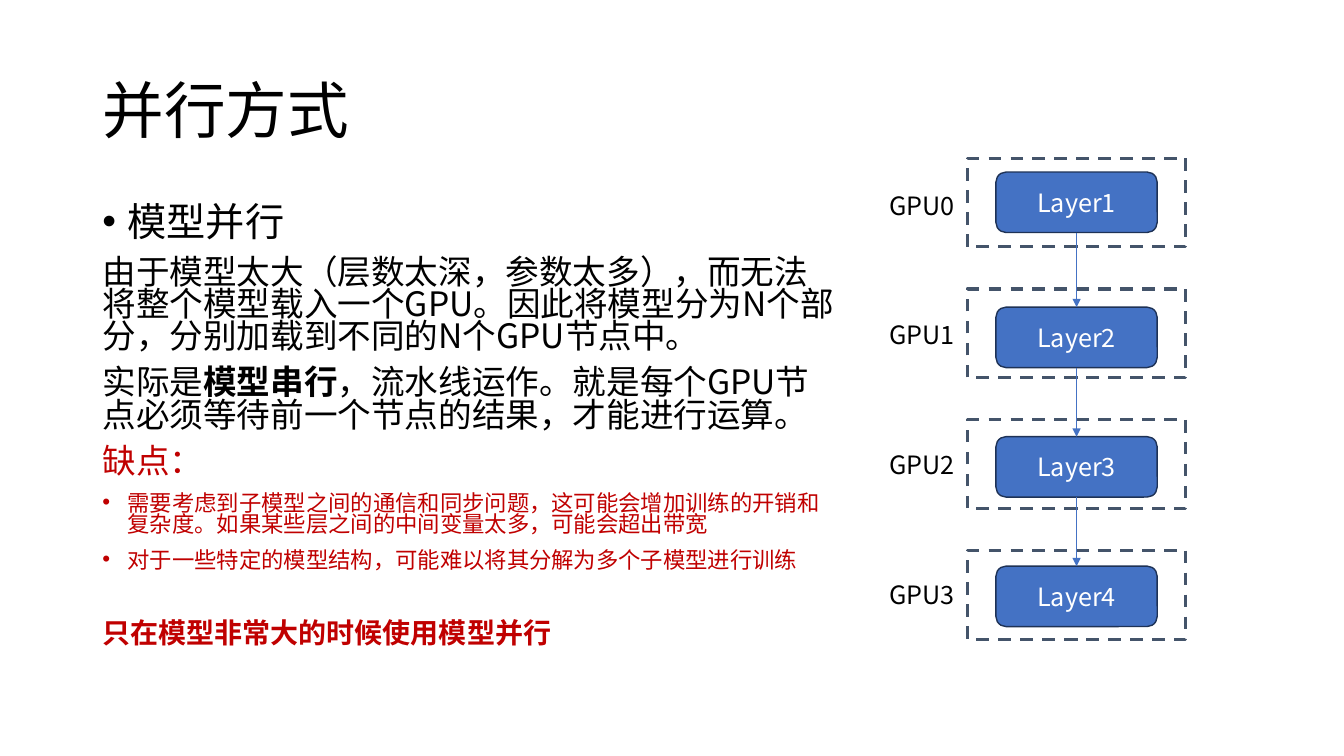
from itertools import pairwise
from lxml.etree import SubElement as Sub
from pptx import Presentation
from pptx.dml.color import RGBColor
from pptx.enum.dml import MSO_LINE as Dash
from pptx.enum.shapes import MSO_CONNECTOR as Link, MSO_SHAPE as Kind
from pptx.enum.text import MSO_ANCHOR as Anchor, MSO_AUTO_SIZE as Fit, PP_ALIGN as Align
from pptx.oxml.ns import qn
from pptx.util import Pt

FONT = "Noto Sans CJK SC"
BLACK = RGBColor(0x00, 0x00, 0x00)
WHITE = RGBColor(0xFF, 0xFF, 0xFF)
RED = RGBColor(0xC0, 0x00, 0x00)
BLUE = RGBColor(0x44, 0x72, 0xC4)
NAVY = RGBColor(0x1E, 0x32, 0x56)
SLATE = RGBColor(0x44, 0x54, 0x6A)

MID = 769
LAYERS = [144.5, 241, 333.5, 426]
LAYER_W, LAYER_H = 115.2, 43.2
FRAME_W, FRAME_H = 156.2, 63.4
FRAME_TOP, FRAME_STEP = 113, 93.4
LABEL_TOP, LABEL_STEP = 132.2, 92.7

BODY = [
    (["模型并行"], 28, BLACK, True, 0),
    (["由于模型太大（层数太深，参数太多），而无法将整个模型载入一个GPU。"
      "因此将模型分为N个部分，分别加载到不同的N个GPU节点中。"], 24, BLACK, False, 10),
    (["实际是", "模型串行", "，流水线运作。就是每个GPU节点必须等待前一个节点的结果，才能进行运算。"],
     24, BLACK, False, 10),
    (["缺点："], 24, RED, False, 10),
    (["需要考虑到子模型之间的通信和同步问题，这可能会增加训练的开销和复杂度。"
      "如果某些层之间的中间变量太多，可能会超出带宽"], 16, RED, True, 10),
    (["对于一些特定的模型结构，可能难以将其分解为多个子模型进行训练"], 16, RED, True, 10),
    (["", "只在模型非常大的时候使用模型并行"], 20, RED, False, 35.5),
]


def style(run, size, color, bold=False):
    font = run.font
    font.size = Pt(size)
    font.bold = bold
    font.color.rgb = color
    font.name = FONT
    Sub(run._r.get_or_add_rPr(), qn("a:ea"), typeface=FONT)


def place(shape, x, y, w, h):
    shape.left, shape.top, shape.width, shape.height = Pt(x), Pt(y), Pt(w), Pt(h)


def mark(para, bullet):
    props = para._p.get_or_add_pPr()
    indent = Pt(18) if bullet else 0
    props.set("marL", str(indent))
    props.set("indent", str(-indent))
    if bullet:
        Sub(props, qn("a:buFont"), typeface="Arial")
        Sub(props, qn("a:buChar"), char="•")
    else:
        Sub(props, qn("a:buNone"))


def add_title(slide, text):
    title = slide.shapes.title
    place(title, 66, 28.8, 828, 104.4)
    frame = title.text_frame
    frame.text = text
    frame.auto_size = Fit.NONE
    frame.vertical_anchor = Anchor.MIDDLE
    para = frame.paragraphs[0]
    para.alignment = Align.LEFT
    para.line_spacing = 0.9
    style(para.runs[0], 44, BLACK)


def add_body(slide):
    body = slide.placeholders[1]
    place(body, 66, 144, 541.5, 342.7)
    frame = body.text_frame
    frame.auto_size = Fit.NONE
    frame.vertical_anchor = Anchor.TOP
    for i, (parts, size, color, bullet, gap) in enumerate(BODY):
        para = frame.add_paragraph() if i else frame.paragraphs[0]
        mark(para, bullet)
        para.line_spacing = 0.8
        para.space_before = Pt(gap)
        for j, part in enumerate(parts):
            if part:
                run = para.add_run()
                run.text = part
                style(run, size, color, j == 1)


def add_box(slide, kind, y, w, h, line, weight):
    box = slide.shapes.add_shape(kind, Pt(MID - w / 2), Pt(y), Pt(w), Pt(h))
    box.shadow.inherit = False
    box.line.color.rgb = line
    box.line.width = Pt(weight)
    return box


def add_layer(slide, y, text):
    box = add_box(slide, Kind.ROUNDED_RECTANGLE, y - LAYER_H / 2, LAYER_W, LAYER_H, NAVY, 1)
    box.fill.solid()
    box.fill.fore_color.rgb = BLUE
    frame = box.text_frame
    frame.text = text
    frame.vertical_anchor = Anchor.MIDDLE
    para = frame.paragraphs[0]
    para.alignment = Align.CENTER
    style(para.runs[0], 18, WHITE)


def add_frame(slide, y):
    box = add_box(slide, Kind.RECTANGLE, y, FRAME_W, FRAME_H, SLATE, 2.25)
    box.fill.background()
    box.line.dash_style = Dash.DASH


def add_label(slide, y, text):
    label = slide.shapes.add_textbox(Pt(628), Pt(y), Pt(63.4), Pt(28.8))
    frame = label.text_frame
    frame.word_wrap = True
    frame.auto_size = Fit.SHAPE_TO_FIT_TEXT
    frame.text = text
    style(frame.paragraphs[0].runs[0], 18, BLACK)


def add_arrow(slide, start, end):
    arrow = slide.shapes.add_connector(Link.STRAIGHT, Pt(MID), Pt(start), Pt(MID), Pt(end))
    arrow.line.color.rgb = BLUE
    arrow.line.width = Pt(0.5)
    Sub(arrow.line._get_or_add_ln(), qn("a:tailEnd"), type="triangle")
    Sub(arrow._element.spPr, qn("a:effectLst"))


def main():
    deck = Presentation()
    deck.slide_width, deck.slide_height = Pt(960), Pt(540)
    slide = deck.slides.add_slide(deck.slide_layouts[1])
    add_title(slide, "并行方式")
    add_body(slide)
    for i, y in enumerate(LAYERS):
        add_frame(slide, FRAME_TOP + i * FRAME_STEP)
        add_layer(slide, y, f"Layer{i + 1}")
        add_label(slide, LABEL_TOP + i * LABEL_STEP, f"GPU{i}")
    for upper, lower in pairwise(LAYERS):
        add_arrow(slide, upper + LAYER_H / 2, lower - LAYER_H / 2)
    deck.save("out.pptx")


if __name__ == "__main__":
    main()
